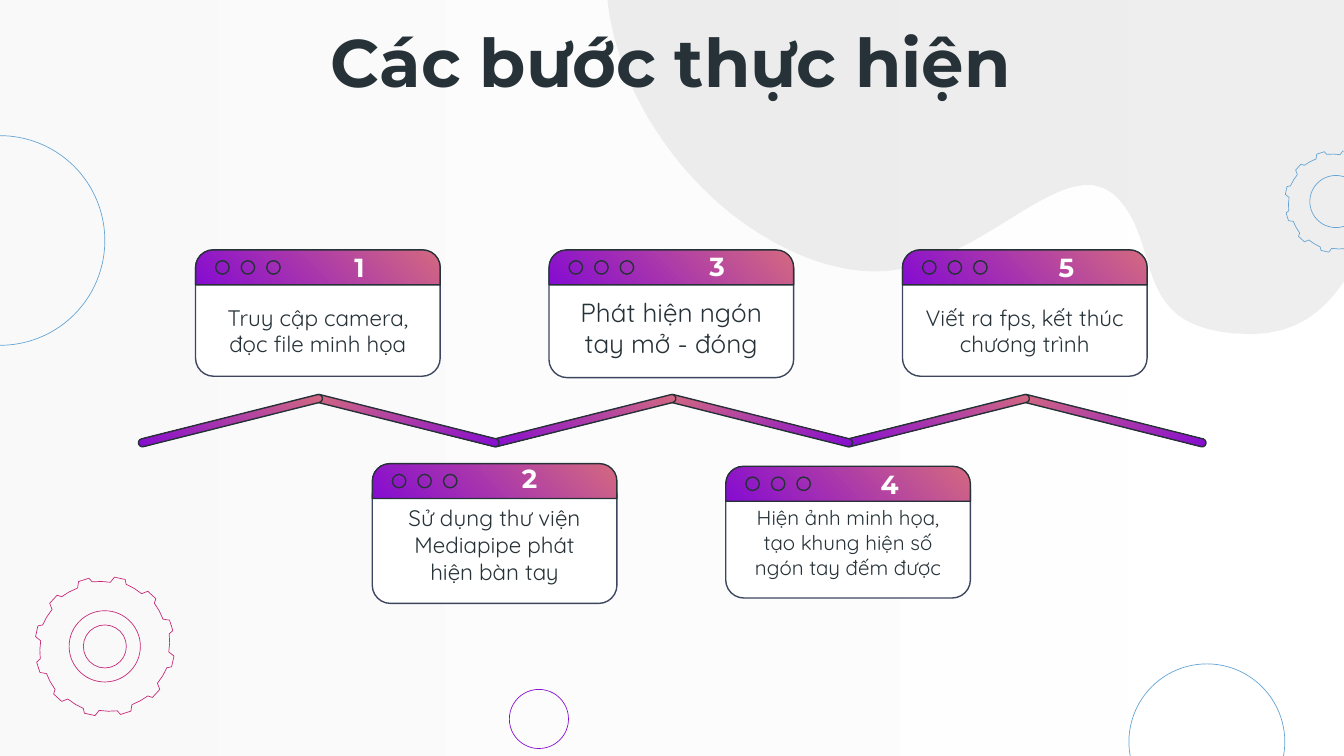
import math

from lxml import etree
from pptx import Presentation
from pptx.dml.color import RGBColor
from pptx.enum import shapes as kinds, text as styles
from pptx.oxml import ns
from pptx.util import Inches, Pt

COLORS = {
    "ink": "263238", "outline": "3D465E", "white": "FFFFFF", "mist": "F3F3F3",
    "blob": "D6D7D7", "pink": "D36980", "purple": "860CD1",
    "blue": "63A4D5", "magenta": "C52878",
}
PRESET = kinds.MSO_SHAPE
CARD_WIDTH, BODY_HEIGHT, HEADER_HEIGHT = 1.82, 0.94, 0.26
STEP_PITCH = 1.315
STEPS = [
    ("1", "Truy cập camera, đọc file minh họa", 12, 1.86, 0, 0.83, 0),
    ("2", "Sử dụng thư viện Mediapipe phát hiện bàn tay", 12, 3.45, 0.1, 0.78, -0.02),
    ("3", "Phát hiện ngón tay mở - đóng", 14, 1.86, 0.01, 0.86, -0.01),
    ("4", "Hiện ảnh minh họa, tạo khung hiện số ngón tay đếm được", 11, 3.47, 0.04, 0.83, 0),
    ("5", "Viết ra fps, kết thúc chương trình", 12, 1.86, 0, 0.83, 0),
]
GEAR_TOOTH = [(5, 0.92), (8, 1), (17, 1), (19, 0.94), (27, 0.93)]
BLOB_START = (5.44, 1.59)
BLOB_CURVES = [
    [(5.85, 1.91), (6.32, 2.08), (6.71, 2)],
    [(7.38, 1.88), (7.92, 1.16), (8.28, 1.44)],
    [(8.57, 1.69), (8.48, 2.11), (8.76, 2.34)],
    [(8.85, 2.41), (8.98, 2.46), (9.17, 2.48)],
    [(9.95, 2.56), (10.04, 1.9), (10.3, 1.65)],
    [(10.37, 1.59), (10.42, 1.59), (10.47, 1.63)],
    [(10.61, 1.74), (10.72, 2.08), (10.95, 2.27)],
    [(11, 2.3), (11.05, 2.33), (11.1, 2.35)],
    [(11.55, 2.52), (11.98, 2.32), (12.09, 2.09)],
    [(12.21, 1.87), (12.58, 1.76), (12.58, 1.76)],
    [(12.58, 1.76), (6.3, -3.22), (6.3, -3.22)],
    [(6.3, -3.22), (5.2, -2.03), (4.68, -1.06)],
    [(4.68, -1.06), (4.28, -0.3), (4.69, 0.62)],
    [(4.87, 1.02), (5.14, 1.35), (5.44, 1.59)],
]


def rgb(name):
    """Return the named colour."""
    return RGBColor.from_string(COLORS[name])


def paint(shape, fill=None, line=None, width=0.75):
    """Set fill and line of a shape and remove its shadow."""
    shape.shadow.inherit = False
    if fill:
        shape.fill.solid()
        shape.fill.fore_color.rgb = rgb(fill)
    else:
        shape.fill.background()
    if line:
        shape.line.color.rgb = rgb(line)
        shape.line.width = Pt(width)
    else:
        shape.line.fill.background()


def shade(shape, first, last, angle):
    """Fill a shape with a two-colour linear gradient."""
    shape.fill.gradient()
    shape.fill.gradient_angle = angle
    for stop, name, position in zip(shape.fill.gradient_stops, (first, last), (0, 1)):
        stop.color.rgb = rgb(name)
        stop.position = position


def fade(shape, percent):
    """Make the fill colours of a shape partly transparent."""
    for color in shape.fill._xPr.iter(ns.qn("a:srgbClr")):
        etree.SubElement(color, ns.qn("a:alpha"), val=str(percent * 1000))


def add_preset(slide, preset, x, y, w, h):
    """Add a preset shape at a box in inches."""
    return slide.shapes.add_shape(preset, Inches(x), Inches(y), Inches(w), Inches(h))


def add_outline(slide, *contours):
    """Add a freeform from closed contours in inches."""
    contours = [[(Inches(x), Inches(y)) for x, y in contour] for contour in contours]
    builder = slide.shapes.build_freeform(*contours[0][0])
    builder.add_line_segments(contours[0][1:], close=True)
    for contour in contours[1:]:
        builder.move_to(*contour[0])
        builder.add_line_segments(contour[1:], close=True)
    return builder.convert_to_shape()


def write(shape, words, size, font, color, bold=False, anchor="MIDDLE"):
    """Put one centred run into a shape."""
    frame = shape.text_frame
    frame.word_wrap = True
    frame.vertical_anchor = styles.MSO_ANCHOR[anchor]
    frame.margin_left = frame.margin_right = Inches(0.1)
    frame.margin_top = frame.margin_bottom = Inches(0.1)
    paragraph = frame.paragraphs[0]
    paragraph.alignment = styles.PP_ALIGN.CENTER
    run = paragraph.add_run()
    run.text = words
    run.font.size, run.font.name, run.font.bold = Pt(size), font, bold
    run.font.color.rgb = rgb(color)


def add_label(slide, x, y, w, h, words, size, color):
    """Add a bold heading text box."""
    label = slide.shapes.add_textbox(Inches(x), Inches(y), Inches(w), Inches(h))
    write(label, words, size, "Montserrat", color, bold=True)


def add_ring(slide, cx, cy, radius, color, width=0.36):
    """Draw an unfilled circle about a centre."""
    ring = add_preset(slide, PRESET.OVAL, cx - radius, cy - radius, 2 * radius, 2 * radius)
    paint(ring, line=color, width=width)


def add_gear(slide, cx, cy, radius, color):
    """Draw a twelve-toothed gear with a round hole."""
    def polar(angle, reach):
        turn = math.radians(angle)
        return cx + radius * reach * math.cos(turn), cy + radius * reach * math.sin(turn)

    teeth = [polar(30 * tooth + angle, reach)
             for tooth in range(12) for angle, reach in GEAR_TOOTH]
    hole = [polar(angle, 0.51) for angle in range(0, 360, 6)]
    paint(add_outline(slide, teeth, hole), line=color, width=0.36)


def trace_curves(start, curves, pieces=16):
    """Sample a chain of cubic curves as points."""
    points = [start]
    for a, b, c in curves:
        origin = points[-1]
        for i in range(1, pieces + 1):
            t = i / pieces
            weights = ((1 - t) ** 3, 3 * t * (1 - t) ** 2, 3 * t * t * (1 - t), t ** 3)
            points.append(tuple(sum(k * p[axis] for k, p in zip(weights, (origin, a, b, c)))
                                for axis in (0, 1)))
    return points


def add_backdrop(slide):
    """Draw the pale background, blob, rings and gears."""
    wash = add_preset(slide, PRESET.RECTANGLE, -0.07, -0.07, 10.14, 5.77)
    paint(wash)
    shade(wash, "white", "mist", 180)
    fade(wash, 41)
    blob = add_outline(slide, trace_curves(BLOB_START, BLOB_CURVES))
    paint(blob, fill="blob")
    fade(blob, 41)
    add_ring(slide, 4.01, 5.35, 0.22, "purple")
    add_ring(slide, 0, 1.79, 0.78, "blue")
    add_gear(slide, 0.78, 4.81, 0.52, "magenta")
    add_ring(slide, 0.78, 4.81, 0.16, "magenta")
    add_gear(slide, 9.94, 1.5, 0.38, "blue")
    add_ring(slide, 8.98, 5.52, 0.58, "blue")


def add_zigzag(slide, x, y, w, h):
    """Draw the six sloping bars from right to left."""
    for i in reversed(range(6)):
        bar = add_preset(slide, PRESET.ROUNDED_RECTANGLE, x + i * STEP_PITCH, y, w, h)
        bar.adjustments[0] = 0.5
        paint(bar, line="ink")
        shade(bar, "pink", "purple", 225)
        bar.rotation = 14.1 if i % 2 else 345.9
        if i % 2:
            bar._element.spPr.find(ns.qn("a:xfrm")).set("flipH", "1")


def add_card(slide, x, y, number, words, size, body_drop, number_x, number_y):
    """Draw one window-like step card."""
    body = add_preset(slide, PRESET.ROUNDED_RECTANGLE, x, y + body_drop, CARD_WIDTH, BODY_HEIGHT)
    body.adjustments[0] = 0.144
    paint(body, fill="white", line="outline")
    write(body, words, size, "Quicksand", "ink", anchor="BOTTOM")
    header = add_preset(slide, PRESET.ROUND_2_SAME_RECTANGLE, x, y, CARD_WIDTH, HEADER_HEIGHT)
    header.adjustments[0], header.adjustments[1] = 0.5, 0
    paint(header, line="ink")
    shade(header, "pink", "purple", 225)
    for i in range(3):
        add_ring(slide, x + 0.2 + 0.19 * i, y + 0.13, 0.05, "ink", 0.75)
    add_label(slide, x + number_x, y + number_y, 0.78, HEADER_HEIGHT, number, 14, "white")


def main():
    """Build and save the slide."""
    deck = Presentation()
    deck.slide_width, deck.slide_height = Inches(10), Inches(10 * 9 / 16)
    slide = deck.slides.add_slide(deck.slide_layouts[6])
    add_backdrop(slide)
    add_label(slide, 0.77, 0.25, 8.44, 0.4, "Các bước thực hiện", 36, "ink")
    add_zigzag(slide, 1.01, 3.1, 1.41, 0.06)
    for i, (number, words, size, top, body_drop, number_x, number_y) in enumerate(STEPS):
        add_card(slide, 1.455 + i * STEP_PITCH, top, number, words, size,
                 body_drop, number_x, number_y)
    deck.save("out.pptx")


if __name__ == "__main__":
    main()
